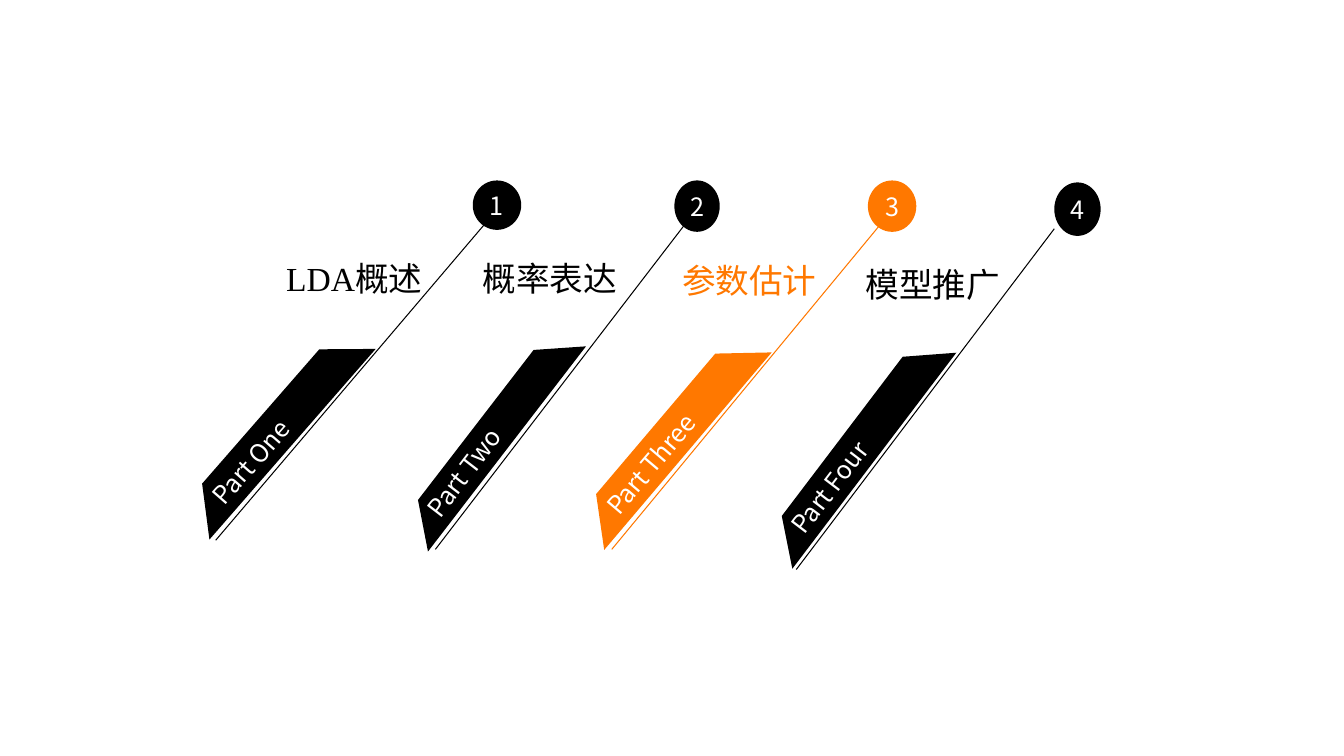
from dataclasses import dataclass

import pptx
import pptx.dml.color
import pptx.enum.shapes
import pptx.enum.text
import pptx.oxml.ns
import pptx.util
from lxml import etree

Pt = pptx.util.Pt
SHAPE = pptx.enum.shapes.MSO_SHAPE
ANCHOR = pptx.enum.text.MSO_ANCHOR
ALIGN = pptx.enum.text.PP_ALIGN


@dataclass(frozen=True)
class Theme:
    dark: str = "000000"
    accent: str = "FF7800"
    white: str = "FFFFFF"
    sans: str = "Noto Sans CJK SC"
    serif: str = "Times New Roman"
    title_size: float = 24
    small_size: float = 18
    line_width: float = 0.75
    slant: float = 0.884


@dataclass(frozen=True)
class Part:
    number: str
    name: str
    title: str
    box: tuple      # left, top, width, height
    circle: tuple   # width, height, at the top right of the box
    stem: tuple     # upper end of the line, from the top right of the box
    label: tuple    # left and top in the box, width, height
    banner: tuple   # centre in the box, width, height, rotation
    color: str = Theme.dark
    font: str = Theme.sans


PARTS = [
    Part("1", "Part One", "LDA概述", (154.1, 128.9, 218.2, 257), (34.6, 35.3), (-25.2, 30.2),
         (43.2, 51.8, 117.4, 36), (43.5, 178.5, 180.7, 30.2, 311.1), font=Theme.serif),
    Part("2", "Part Two", "概率表达", (311, 128.9, 203.1, 263.5), (32.4, 36.7), (-24.5, 30.9),
         (26.7, 51.8, 117.4, 65.5), (40, 183.2, 185, 28.1, 307.6)),
    Part("3", "Part Three", "参数估计", (437, 128.9, 217.5, 263.5), (34.6, 36.7), (-25.2, 30.9),
         (43.2, 53.3, 131, 65.5), (42.9, 183.6, 185, 30.2, 310.3), color=Theme.accent),
    Part("4", "Part Four", "模型推广", (568.8, 130.3, 217.4, 276.5), (33.1, 38.2), (-33.1, 33.1),
         (42.5, 54.7, 115.2, 65.5), (44.3, 190.1, 193.7, 28.8, 307.2)),
]


def rgb(color):
    return pptx.dml.color.RGBColor.from_string(color)


def write(sp, text, size=Theme.small_size, color=Theme.white, font=Theme.sans,
          align=ALIGN.LEFT, anchor=ANCHOR.TOP):
    tf = sp.text_frame
    tf.word_wrap = True
    tf.vertical_anchor = anchor
    p = tf.paragraphs[0]
    p.alignment = align
    r = p.add_run()
    r.text = text
    r.font.size = Pt(size)
    r.font.color.rgb = rgb(color)
    r.font.name = font
    # Chinese characters always take the sans face
    ea = etree.SubElement(r.font._element, pptx.oxml.ns.qn("a:ea"))
    ea.set("typeface", Theme.sans)


def add_filled(slide, kind, left, top, width, height, color):
    sp = slide.shapes.add_shape(kind, Pt(left), Pt(top), Pt(width), Pt(height))
    sp.shadow.inherit = False
    sp.fill.solid()
    sp.fill.fore_color.rgb = rgb(color)
    sp.line.fill.background()
    return sp


def add_part(slide, part):
    x, y, w, h = part.box
    right = x + w

    # Title
    dx, dy, label_w, label_h = part.label
    sp = slide.shapes.add_textbox(Pt(x + dx), Pt(y + dy), Pt(label_w), Pt(label_h))
    write(sp, part.title, size=Theme.title_size, color=part.color, font=part.font)

    # Slanted line down to the bottom left of the box
    dx, dy = part.stem
    line = slide.shapes.add_connector(pptx.enum.shapes.MSO_CONNECTOR.STRAIGHT,
                                      Pt(right + dx), Pt(y + dy), Pt(x), Pt(y + h))
    line.line.color.rgb = rgb(part.color)
    line.line.width = Pt(Theme.line_width)
    etree.SubElement(line._element.spPr, pptx.oxml.ns.qn("a:effectLst"))

    # Rotated banner
    cx, cy, banner_w, banner_h, angle = part.banner
    sp = add_filled(slide, SHAPE.TRAPEZOID, x + cx - banner_w / 2, y + cy - banner_h / 2,
                    banner_w, banner_h, part.color)
    sp.adjustments[0] = Theme.slant
    sp.rotation = angle
    write(sp, part.name, anchor=ANCHOR.BOTTOM)

    # Number
    circle_w, circle_h = part.circle
    sp = add_filled(slide, SHAPE.OVAL, right - circle_w, y, circle_w, circle_h, part.color)
    tf = sp.text_frame
    tf.margin_left = tf.margin_right = tf.margin_top = tf.margin_bottom = 0
    write(sp, part.number, align=ALIGN.CENTER, anchor=ANCHOR.MIDDLE)


def main():
    prs = pptx.Presentation()
    prs.slide_width, prs.slide_height = Pt(960), Pt(540)
    slide = prs.slides.add_slide(prs.slide_layouts[6])
    for part in PARTS:
        add_part(slide, part)
    prs.save("out.pptx")


if __name__ == "__main__":
    main()
